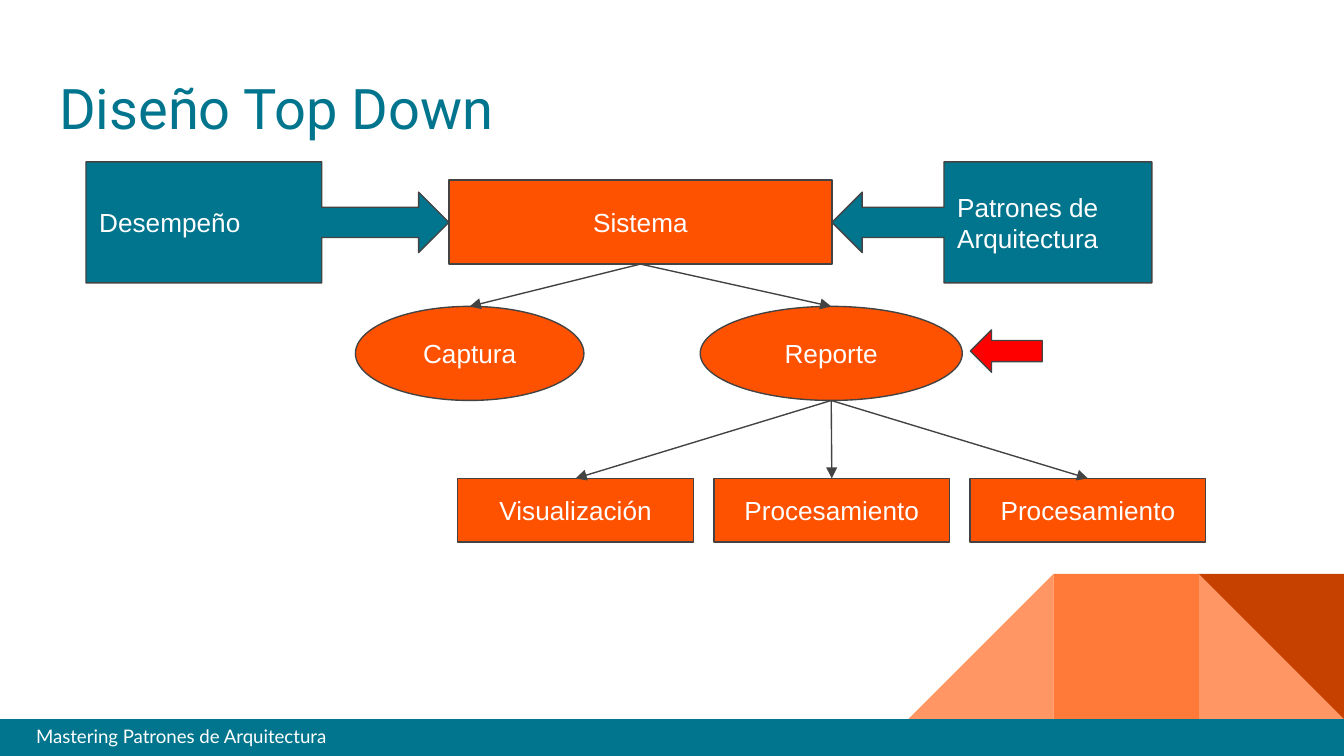
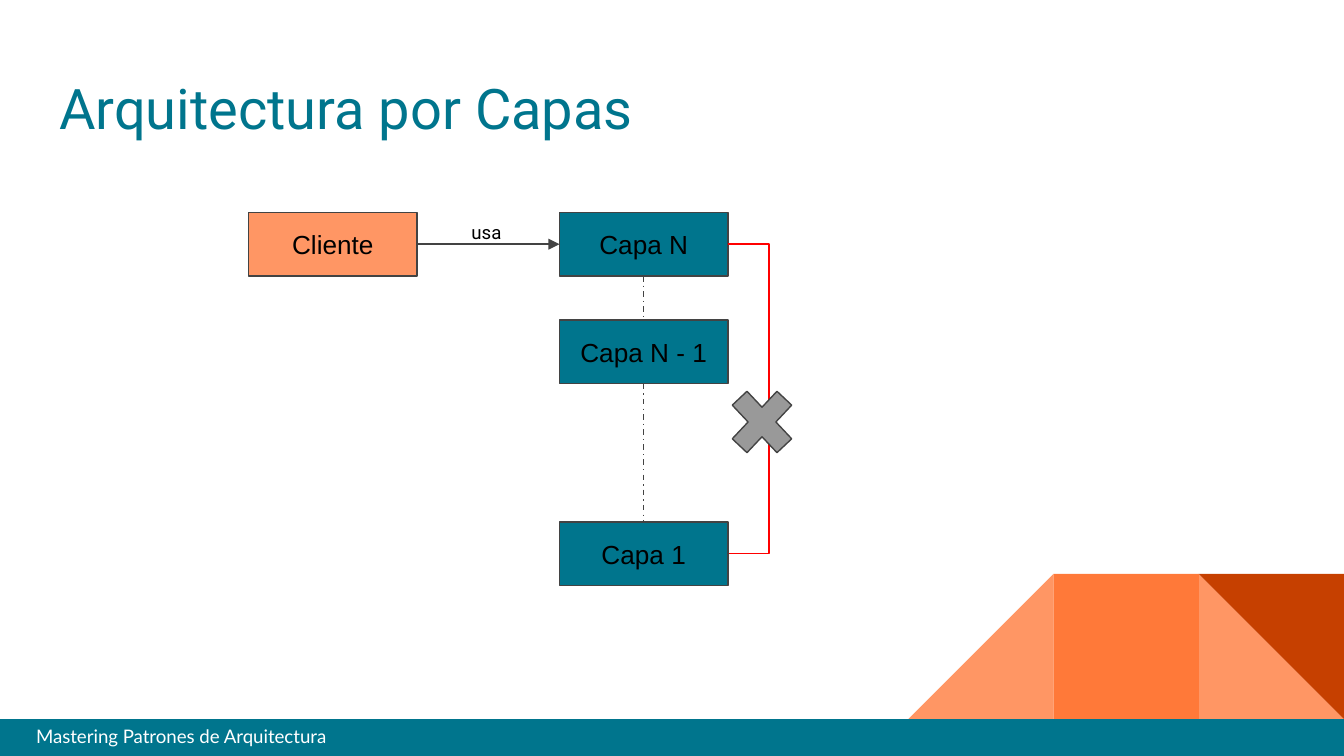
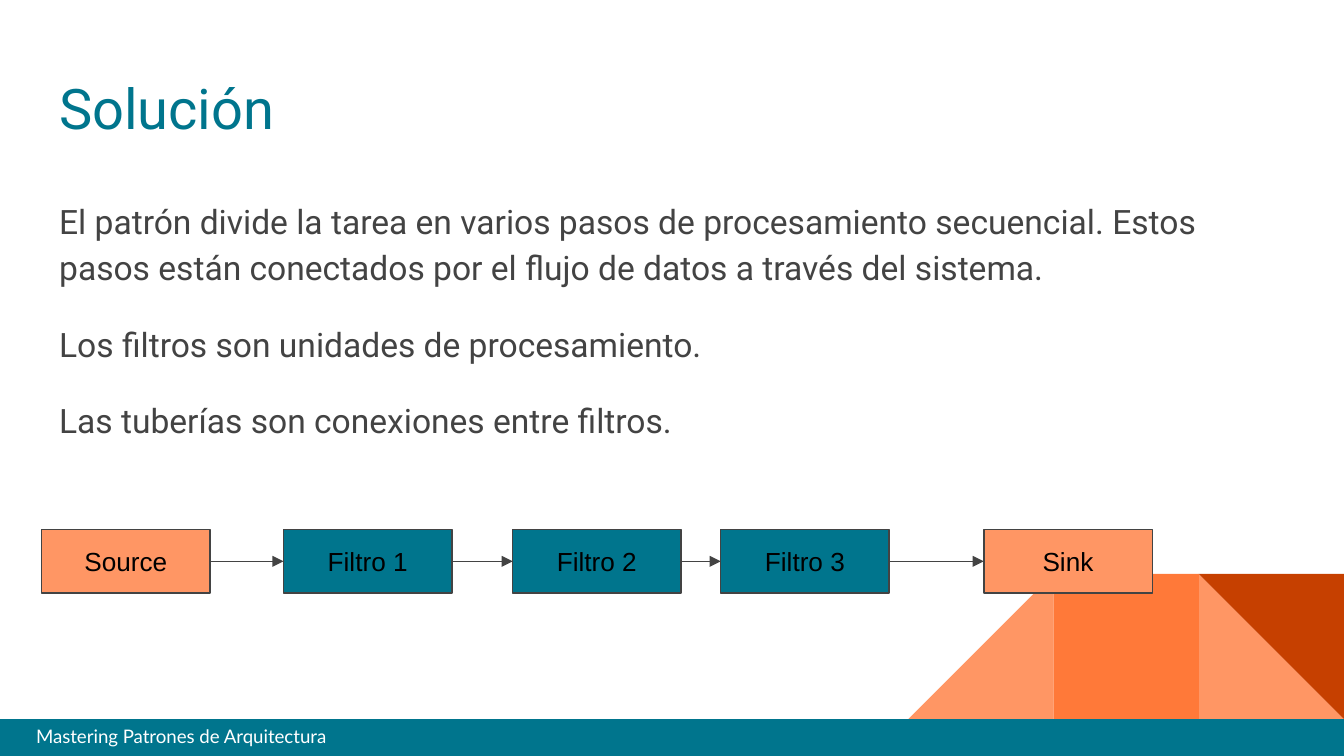
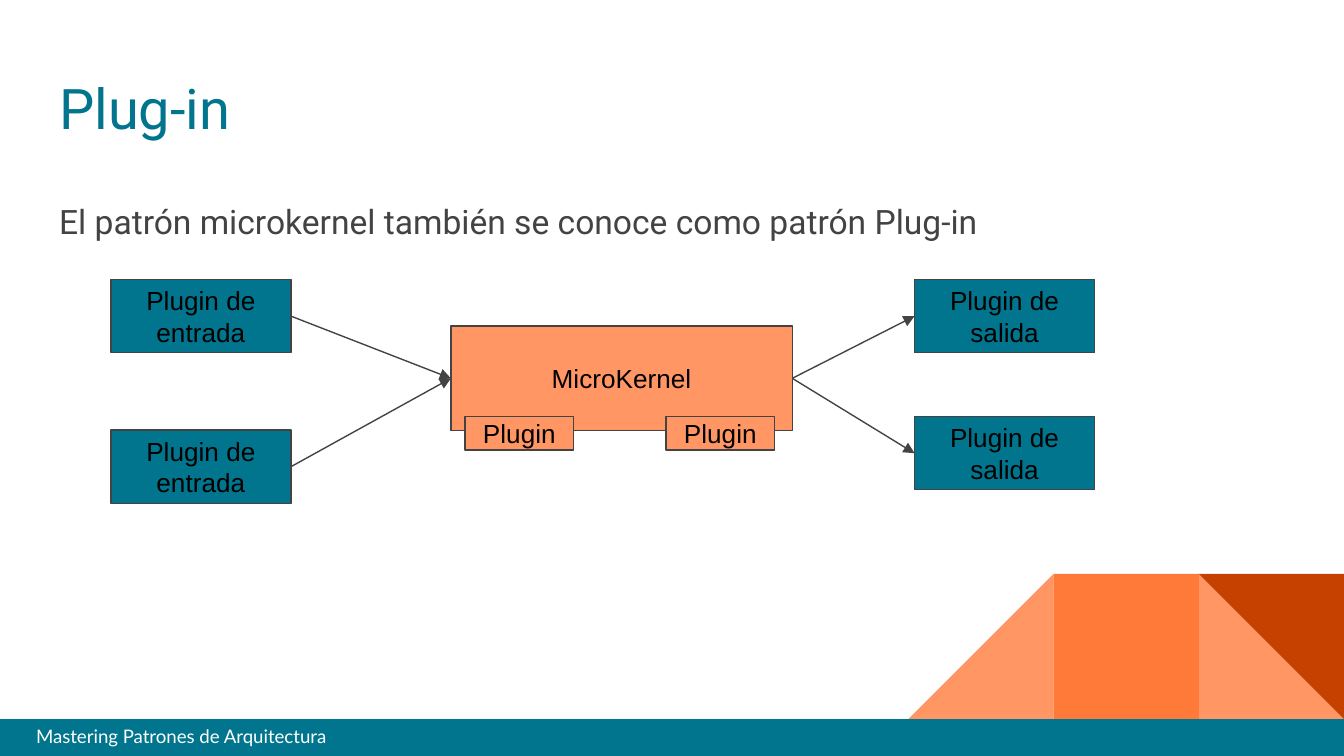
from lxml.etree import SubElement
from pptx import Presentation
from pptx.dml.color import RGBColor
from pptx.enum.dml import MSO_LINE
from pptx.enum.shapes import MSO_CONNECTOR, MSO_SHAPE
from pptx.enum.text import MSO_ANCHOR, MSO_AUTO_SIZE, PP_ALIGN
from pptx.oxml.ns import qn
from pptx.util import Emu, Inches, Pt

TEAL = RGBColor(0x00, 0x75, 0x8D)
ORANGE = RGBColor(0xFF, 0x52, 0x00)
PEACH = RGBColor(0xFF, 0x96, 0x64)
MID_ORANGE = RGBColor(0xFF, 0x79, 0x39)
RUST = RGBColor(0xC6, 0x40, 0x00)
RED = RGBColor(0xFF, 0x00, 0x00)
GRAY = RGBColor(0x99, 0x99, 0x99)
DARK = RGBColor(0x43, 0x43, 0x43)
BLACK = RGBColor(0x00, 0x00, 0x00)
WHITE = RGBColor(0xFF, 0xFF, 0xFF)

SLIDE_WIDTH, SLIDE_HEIGHT = Inches(10), Inches(5.625)
CELL = SLIDE_WIDTH / 100  # the grid has 100 columns and 56.25 rows
TITLE_ONLY, TITLE_AND_BODY = 5, 1
TOP, LEFT, BOTTOM, RIGHT = range(4)
LAYER_SIZE = (12.53, 4.74)
LEAF_SIZE = (17.54, 4.74)
PLUGIN_SIZE = (13.4, 5.45)
PORT_SIZE = (8.1, 2.5)


def cells(count):
    return Emu(round(count * CELL))


def place(shape, left, top, width, height):
    shape.left, shape.top = cells(left), cells(top)
    shape.width, shape.height = cells(width), cells(height)


def format_text(frame, font_name, size, color, align=PP_ALIGN.LEFT, anchor=MSO_ANCHOR.TOP):
    frame.word_wrap = True
    frame.auto_size = MSO_AUTO_SIZE.NONE
    frame.vertical_anchor = anchor
    frame.margin_left = frame.margin_right = cells(1)
    frame.margin_top = frame.margin_bottom = cells(1)
    for paragraph in frame.paragraphs:
        paragraph.alignment = align
        for run in paragraph.runs:
            run.font.name = font_name
            run.font.size = Pt(size)
            run.font.color.rgb = color


def add_plain(shapes, kind, at, fill):
    """Add a filled shape without outline or shadow."""
    shape = shapes.add_shape(kind, *map(cells, at))
    shape.shadow.inherit = False
    shape.fill.solid()
    shape.fill.fore_color.rgb = fill
    shape.line.fill.background()
    return shape


def add_node(slide, at, fill, label="", color=BLACK, kind=MSO_SHAPE.RECTANGLE,
             align=PP_ALIGN.CENTER):
    """Add an outlined diagram shape with its label."""
    node = add_plain(slide.shapes, kind, at, fill)
    node.line.color.rgb = DARK
    node.line.width = Pt(0.75)
    if label:
        node.text_frame.text = label
        format_text(node.text_frame, "Arial", 14, color, align, MSO_ANCHOR.MIDDLE)
    return node


def add_label(slide, at, text, font_name, color):
    label = slide.shapes.add_textbox(*map(cells, at))
    label.text_frame.text = text
    format_text(label.text_frame, font_name, 10, color)
    return label


def side_middle(shape, side):
    x = shape.left + {LEFT: 0, RIGHT: shape.width}.get(side, shape.width // 2)
    y = shape.top + {TOP: 0, BOTTOM: shape.height}.get(side, shape.height // 2)
    return x, y


def style_connector(connector, color, dash=None, arrow=False):
    connector.line.color.rgb = color
    connector.line.width = Pt(0.75)
    if dash:
        connector.line.dash_style = dash
    properties = connector.element.spPr
    if arrow:
        SubElement(properties.find(qn("a:ln")), qn("a:tailEnd"), type="triangle")
    SubElement(properties, qn("a:effectLst"))


def link(slide, source, source_side, target, target_side, dash=None, arrow=True):
    """Join the middles of two sides with a straight line."""
    connector = slide.shapes.add_connector(
        MSO_CONNECTOR.STRAIGHT,
        *side_middle(source, source_side), *side_middle(target, target_side))
    ends = ((connector.begin_connect, source, source_side),
            (connector.end_connect, target, target_side))
    for join, shape, side in ends:
        if shape.auto_shape_type == MSO_SHAPE.RECTANGLE:
            join(shape, side)
    style_connector(connector, DARK, dash, arrow)


def add_bypass(slide, source, target, reach):
    """Draw a bracket that leaves and returns on the right side."""
    stub = 0.1
    start_x, start_y = side_middle(source, RIGHT)
    end_x, end_y = side_middle(target, RIGHT)
    connector = slide.shapes.add_connector(
        MSO_CONNECTOR.ELBOW, start_x, start_y, end_x + cells(stub), end_y)
    geometry = connector.element.spPr.find(qn("a:prstGeom"))
    adjustments = geometry.find(qn("a:avLst"))
    if adjustments is None:
        adjustments = SubElement(geometry, qn("a:avLst"))
    SubElement(adjustments, qn("a:gd"), name="adj1",
               fmla=f"val {round(reach / stub * 100000)}")
    style_connector(connector, RED)


def decorate_master(slide):
    """Draw the corner and the footer, then hand them to the slide master."""
    side, top = 10.8, 42.7
    decoration = slide.shapes.add_group_shape()
    right, middle, left = (100 - side * step for step in (1, 2, 3))
    triangle = MSO_SHAPE.RIGHT_TRIANGLE
    add_plain(decoration.shapes, triangle, (right, top, side, side), PEACH)
    slope = add_plain(decoration.shapes, triangle, (left, top, side, side), PEACH)
    slope.element.spPr.find(qn("a:xfrm")).set("flipH", "1")
    add_plain(decoration.shapes, MSO_SHAPE.RECTANGLE, (middle, top, side, side), MID_ORANGE)
    add_plain(decoration.shapes, triangle, (right, top, side, side), RUST).rotation = 180
    add_plain(decoration.shapes, MSO_SHAPE.RECTANGLE, (0, 53.5, 100, 2.75), TEAL)
    footer = add_label(slide, (1.7, 52.9, 47.2, 3.3),
                       "Mastering Patrones de Arquitectura", "Lato", WHITE)

    tree = slide.slide_layout.slide_master.shapes.element
    for position, part in enumerate((decoration, footer), start=2):
        tree.insert(position, part.element)
    for number, identity in enumerate(tree.iter(qn("p:cNvPr")), start=1):
        identity.set("id", str(number))


def add_slide(deck, title, body=()):
    layout = TITLE_AND_BODY if body else TITLE_ONLY
    slide = deck.slides.add_slide(deck.slide_layouts[layout])
    heading = slide.shapes.title
    place(heading, 3.4, 4.5, 93.2, 6.6)
    heading.text_frame.text = title
    format_text(heading.text_frame, "Roboto", 30, TEAL)
    if body:
        add_body(slide.placeholders[1], body)
    return slide


def add_body(placeholder, lines):
    place(placeholder, 3.4, 13.5, 93.2, 36.5)
    frame = placeholder.text_frame
    frame.text = "\n".join(lines)
    for index, paragraph in enumerate(frame.paragraphs):
        paragraph.line_spacing = 1.15
        paragraph.space_before = Pt(16 if index else 0)
        properties = paragraph._p.get_or_add_pPr()
        properties.set("marL", "0")
        properties.set("indent", "0")
        SubElement(properties, qn("a:buNone"))
    format_text(frame, "Roboto", 18, DARK)


def build_top_down(slide):
    system = add_node(slide, (33.4, 13.4, 28.5, 6.25), ORANGE, "Sistema", WHITE)
    add_node(slide, (6.4, 12.05, 27, 9), TEAL, "Desempeño", WHITE,
             MSO_SHAPE.RIGHT_ARROW_CALLOUT, PP_ALIGN.LEFT)
    add_node(slide, (61.9, 12.05, 23.8, 9), TEAL, "Patrones de Arquitectura", WHITE,
             MSO_SHAPE.LEFT_ARROW_CALLOUT, PP_ALIGN.LEFT)
    capture, report = (
        add_node(slide, (left, 22.8, width, 7), ORANGE, label, WHITE, MSO_SHAPE.OVAL)
        for left, width, label in ((26.45, 17, "Captura"), (52.1, 19.5, "Reporte")))
    for module in (capture, report):
        link(slide, system, BOTTOM, module, TOP)
    add_node(slide, (72.2, 24.55, 5.35, 3.15), RED, kind=MSO_SHAPE.LEFT_ARROW)
    for column, label in enumerate(("Visualización", "Procesamiento", "Procesamiento")):
        leaf = add_node(slide, (34.06 + 19.06 * column, 35.6, *LEAF_SIZE), ORANGE, label, WHITE)
        link(slide, report, BOTTOM, leaf, TOP)


def build_layers(slide):
    client = add_node(slide, (18.5, 15.8, *LAYER_SIZE), PEACH, "Cliente")
    upper, lower, base = (
        add_node(slide, (41.63, top, *LAYER_SIZE), TEAL, label)
        for top, label in ((15.8, "Capa N"), (23.82, "Capa N - 1"), (38.83, "Capa 1")))
    link(slide, client, RIGHT, upper, LEFT)
    add_label(slide, (34.1, 15.4, 4.4, 2.7), "usa", "Roboto", BLACK)
    for above, below in ((upper, lower), (lower, base)):
        link(slide, above, BOTTOM, below, TOP, MSO_LINE.DASH_DOT, arrow=False)
    add_bypass(slide, upper, base, 3.1)
    add_node(slide, (53.5, 28, 6.4, 6.8), GRAY, kind=MSO_SHAPE.MATH_MULTIPLY)


def build_pipeline(slide):
    stages = [
        add_node(slide, (left, 39.4, *LAYER_SIZE), fill, label)
        for left, fill, label in (
            (3.1, PEACH, "Source"), (21.1, TEAL, "Filtro 1"), (38.15, TEAL, "Filtro 2"),
            (53.63, TEAL, "Filtro 3"), (73.2, PEACH, "Sink"))]
    for stage, following in zip(stages, stages[1:]):
        link(slide, stage, RIGHT, following, LEFT)


def build_microkernel(slide):
    kernel = add_node(slide, (33.55, 24.25, 25.4, 7.8), PEACH, "MicroKernel")
    for top in (20.8, 32):
        entry = add_node(slide, (8.25, top, *PLUGIN_SIZE), TEAL, "Plugin de entrada")
        link(slide, entry, RIGHT, kernel, LEFT)
    for top in (20.8, 31):
        output = add_node(slide, (68.05, top, *PLUGIN_SIZE), TEAL, "Plugin de salida")
        link(slide, kernel, RIGHT, output, LEFT)
    for left in (34.6, 49.55):
        add_node(slide, (left, 31, *PORT_SIZE), PEACH, "Plugin")


def main():
    deck = Presentation()
    deck.slide_width, deck.slide_height = SLIDE_WIDTH, SLIDE_HEIGHT

    top_down = add_slide(deck, "Diseño Top Down")
    decorate_master(top_down)
    build_top_down(top_down)
    build_layers(add_slide(deck, "Arquitectura por Capas"))
    build_pipeline(add_slide(deck, "Solución", (
        "El patrón divide la tarea en varios pasos de procesamiento secuencial. "
        "Estos pasos están conectados por el flujo de datos a través del sistema.",
        "Los filtros son unidades de procesamiento.",
        "Las tuberías son conexiones entre filtros.")))
    build_microkernel(add_slide(deck, "Plug-in", (
        "El patrón microkernel también se conoce como patrón Plug-in",)))

    deck.save("out.pptx")


if __name__ == "__main__":
    main()
